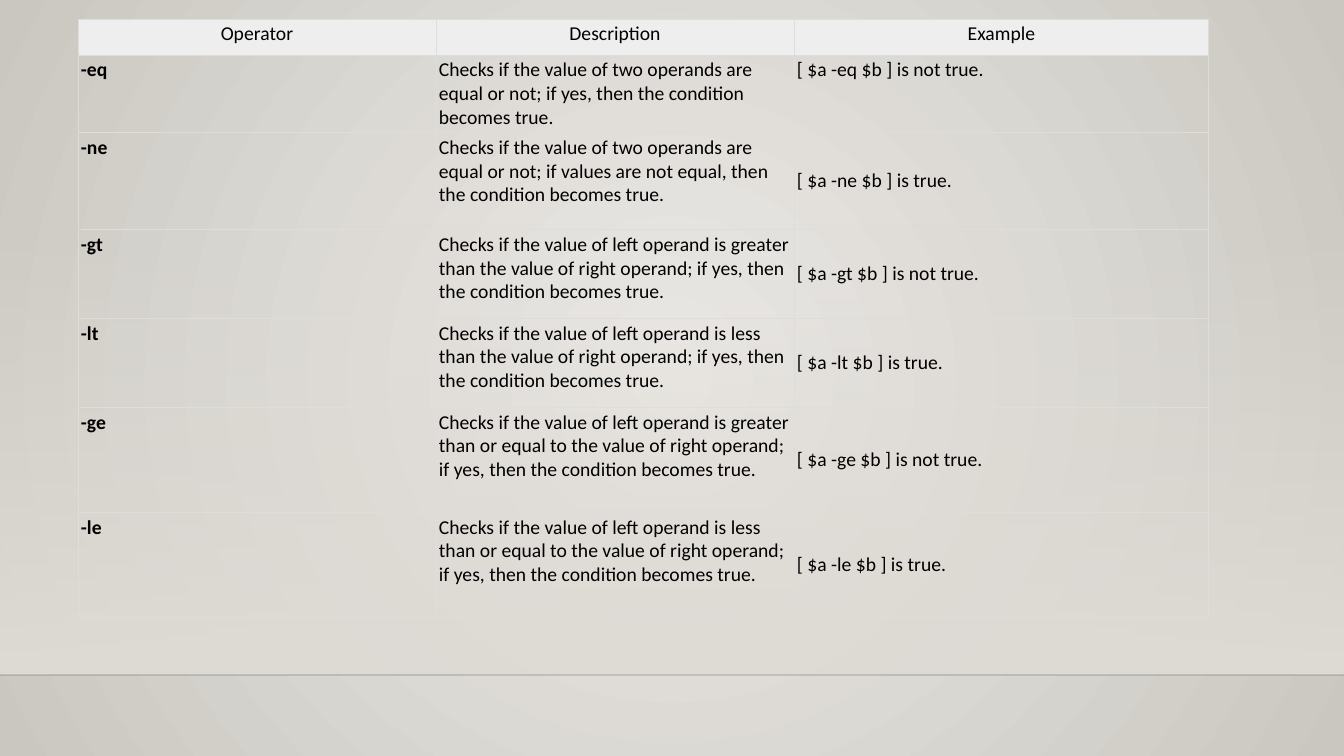
from dataclasses import dataclass

from pptx import Presentation
from pptx.dml.color import RGBColor
from pptx.enum.shapes import MSO_CONNECTOR, MSO_SHAPE
from pptx.enum.text import MSO_ANCHOR, PP_ALIGN
from pptx.oxml import parse_xml
from pptx.oxml.ns import nsdecls, qn
from pptx.util import Emu, Pt

STRAIGHT = MSO_CONNECTOR.STRAIGHT
RECTANGLE = MSO_SHAPE.RECTANGLE
TOP, MIDDLE = MSO_ANCHOR.TOP, MSO_ANCHOR.MIDDLE
LEFT, CENTER = PP_ALIGN.LEFT, PP_ALIGN.CENTER
WIDTH, HEIGHT = 1344, 756
FLOOR_TOP, FLOOR_LINE = 223, 675


@dataclass(frozen=True)
class Theme:
    font: str = "Calibri"
    size: float = 14
    text: str = "000000"
    header: str = "EEEEEE"
    border: str = "DDDDDD"
    border_width: float = 0.75
    light: str = "ECEAE7"
    dark: str = "CAC7C1"
    floor: str = "DFDBD5"
    line: str = "000001"


HEADINGS = ["Operator", "Description", "Example"]
COLUMN_WIDTHS = [358, 358, 415]
ROW_HEIGHTS = [36, 73, 97, 89, 89, 105, 105]
CHECKS = [
    ("-eq", "two operands are equal or not; if yes, then", "not true"),
    ("-ne", "two operands are equal or not; if values are not equal, then", "true"),
    ("-gt", "left operand is greater than the value of right operand; if yes, then", "not true"),
    ("-lt", "left operand is less than the value of right operand; if yes, then", "true"),
    ("-ge", "left operand is greater than or equal to the value of right operand; if yes, then",
     "not true"),
    ("-le", "left operand is less than or equal to the value of right operand; if yes, then",
     "true"),
]


def px(length):
    return Emu(round(length * 914400 / 100.8))


def set_gradient(properties, stops, direction):
    """Replace a solid fill by a gradient; stops are (position, colour, opacity) in percent."""
    stop_xml = "".join(
        f'<a:gs pos="{position * 1000}"><a:srgbClr val="{color}">'
        f'<a:alpha val="{opacity * 1000}"/></a:srgbClr></a:gs>'
        for position, color, opacity in stops)
    gradient = parse_xml(f'<a:gradFill {nsdecls("a")} rotWithShape="1">'
                         f'<a:gsLst>{stop_xml}</a:gsLst>{direction}</a:gradFill>')
    properties.replace(properties.find(qn("a:solidFill")), gradient)


class SlideBuilder:
    def __init__(self, page, theme):
        self.page = page
        self.theme = theme

    def background(self):
        self.page.background.fill.solid()
        properties = self.page.element.find(".//" + qn("p:bgPr"))
        set_gradient(properties, [(0, self.theme.light, 100), (100, self.theme.dark, 100)],
                     '<a:path path="circle"><a:fillToRect l="50000" t="50000" '
                     'r="50000" b="50000"/></a:path>')

    def fading_band(self, top, bottom):
        band = self.page.shapes.add_shape(RECTANGLE, 0, px(top), px(WIDTH), px(bottom - top))
        band.shadow.inherit = False
        band.line.fill.background()
        band.fill.solid()
        set_gradient(band.element.spPr, [(0, self.theme.floor, 0), (100, self.theme.floor, 100)],
                     '<a:lin ang="5400000" scaled="0"/>')

    def horizon(self, top):
        line = self.page.shapes.add_connector(STRAIGHT, 0, px(top), px(WIDTH), px(top))
        line.line.color.rgb = RGBColor.from_string(self.theme.line)
        line.line.width = Pt(1)
        color = line.element.find(".//" + qn("a:srgbClr"))
        color.append(parse_xml(f'<a:alpha {nsdecls("a")} val="20000"/>'))
        line.element.spPr.append(parse_xml(f'<a:effectLst {nsdecls("a")}/>'))

    def table(self, left, top, widths, heights, rows):
        frame = self.page.shapes.add_table(len(rows), len(widths), px(left), px(top),
                                           px(sum(widths)), px(sum(heights)))
        table = frame.table
        table.first_row = table.horz_banding = False
        for column, width in zip(table.columns, widths):
            column.width = px(width)
        for row, height in zip(table.rows, heights):
            row.height = px(height)
        for row_index, texts in enumerate(rows):
            for column_index, text in enumerate(texts):
                self.cell(table.cell(row_index, column_index), text,
                          is_header=row_index == 0,
                          bold=row_index > 0 and column_index == 0,
                          anchor=MIDDLE if row_index > 1 and column_index == 2 else TOP)

    def cell(self, cell, text, is_header, bold, anchor):
        cell.margin_left = cell.margin_right = cell.margin_top = cell.margin_bottom = px(3)
        cell.vertical_anchor = anchor
        cell.text = text
        para = cell.text_frame.paragraphs[0]
        para.alignment = CENTER if is_header else LEFT
        para.font.name = self.theme.font
        para.font.size = Pt(self.theme.size)
        para.font.bold = bold
        para.font.color.rgb = RGBColor.from_string(self.theme.text)
        self.cell_borders(cell)
        if is_header:
            cell.fill.solid()
            cell.fill.fore_color.rgb = RGBColor.from_string(self.theme.header)
        else:
            cell.fill.background()

    def cell_borders(self, cell):
        properties = cell._tc.get_or_add_tcPr()
        for side in ("lnL", "lnR", "lnT", "lnB"):
            properties.append(parse_xml(
                f'<a:{side} {nsdecls("a")} w="{Pt(self.theme.border_width)}"><a:solidFill>'
                f'<a:srgbClr val="{self.theme.border}"/></a:solidFill></a:{side}>'))


def main():
    deck = Presentation()
    deck.slide_width, deck.slide_height = px(WIDTH), px(HEIGHT)
    builder = SlideBuilder(deck.slides.add_slide(deck.slide_layouts[6]), Theme())
    builder.background()
    builder.fading_band(FLOOR_TOP, FLOOR_LINE)
    builder.horizon(FLOOR_LINE)
    rows = [HEADINGS] + [
        (operator, f"Checks if the value of {check} the condition becomes true.",
         f"[ $a {operator} $b ] is {result}.")
        for operator, check, result in CHECKS]
    builder.table(78, 19, COLUMN_WIDTHS, ROW_HEIGHTS, rows)
    deck.save("out.pptx")


if __name__ == "__main__":
    main()
